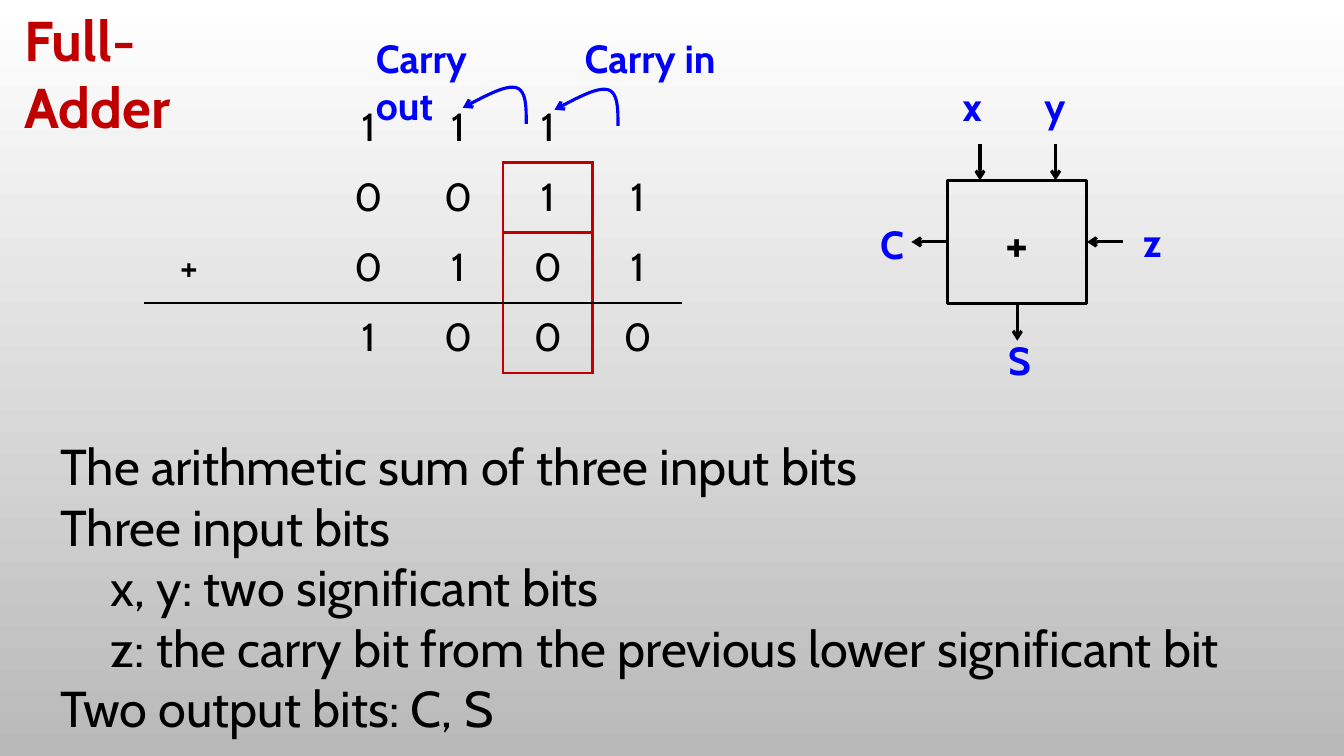
from lxml import etree
from pptx import Presentation
from pptx import util as u
from pptx.dml import color
from pptx.enum import shapes, text
from pptx.oxml import ns

FONT = "Cabin"
BLACK, RED, BLUE = "000000", "C00000", "0000FF"
LINE_WIDTH = u.Pt(2.25)
NO_GRID_STYLE = "{2D5ABB26-0587-4C30-8999-92F81FD0307C}"
BIT_ROWS = ["  111 ", "  0011", "+ 0101", "  1000"]
SUM_ROW, BOXED_COLUMN = 3, 4
POINTS = [
    ("The arithmetic sum of three input bits", 1),
    ("Three input bits", 1),
    ("x, y: two significant bits", 2),
    ("z: the carry bit from the previous lower significant bit", 2),
    ("Two output bits: C, S", 1),
]
PORT_LABELS = [("z", 11.24, 2.12), ("x", 9.45, 0.77), ("y", 10.26, 0.77),
               ("S", 9.9, 3.29), ("C", 8.63, 2.14)]


def rgb(value):
    """Turn a hex string into a colour."""
    return color.RGBColor.from_string(value)


def style(para, size, hue=BLACK, bold=False):
    """Set the font of a paragraph."""
    para.font.name, para.font.size, para.font.bold = FONT, u.Pt(size), bold
    para.font.color.rgb = rgb(hue)


def paint_line(line, hue):
    """Give an outline its colour and the common width."""
    line.color.rgb = rgb(hue)
    line.width = LINE_WIDTH


def add_arrowhead(shape):
    """Put an arrowhead at the end of a line."""
    outline = shape.line._get_or_add_ln()
    etree.SubElement(outline, ns.qn("a:tailEnd"), type="arrow")


def paint_background(page):
    """Fade the background from white at the top to grey."""
    fill = page.background.fill
    fill.gradient()
    fill.gradient_angle = 270
    for stop, position, hue in zip(fill.gradient_stops, (0, 1), ("FFFFFF", "B9B9B9")):
        stop.position = position
        stop.color.rgb = rgb(hue)


def place_title(page):
    """Move and format the title placeholder."""
    title = page.shapes.title
    title.left, title.top = u.Inches(0.14), u.Inches(0)
    title.width, title.height = u.Inches(2.66), u.Inches(0.77)
    frame = title.text_frame
    frame.text = "Full-Adder"
    frame.word_wrap = True
    frame.auto_size = text.MSO_AUTO_SIZE.NONE
    frame.vertical_anchor = text.MSO_ANCHOR.TOP
    frame.paragraphs[0].alignment = text.PP_ALIGN.LEFT
    style(frame.paragraphs[0], 40, RED, True)


def add_label(parent, words, left, top, width):
    """Add a bold blue label."""
    box = parent.add_textbox(*map(u.Inches, (left, top, width, 0.57)))
    box.text_frame.word_wrap = True
    para = box.text_frame.paragraphs[0]
    para.text = words
    style(para, 28, BLUE, True)


def add_points(page):
    """Add the indented explanation."""
    box = page.shapes.add_textbox(*map(u.Inches, (0, 4.27, 13.33, 3.13)))
    frame = box.text_frame
    frame.word_wrap = True
    for index, (words, level) in enumerate(POINTS):
        para = frame.add_paragraph() if index else frame.paragraphs[0]
        para.text = words
        para.level = level
        style(para, 36)
        properties = para._p.get_or_add_pPr()
        properties.set("marL", str(u.Inches(0.5 * level)))
        properties.set("indent", "0")


def cell_edges(row, column):
    """Return the coloured sides of a cell in the sum."""
    edges = {}
    in_box = 1 <= row <= SUM_ROW
    if in_box and column in (BOXED_COLUMN, BOXED_COLUMN + 1):
        edges["L"] = RED
    if in_box and column in (BOXED_COLUMN - 1, BOXED_COLUMN):
        edges["R"] = RED
    if column == BOXED_COLUMN:
        edges.update({0: {"B": RED}, 1: {"T": RED}, SUM_ROW: {"B": RED}}.get(row, {}))
    if row == SUM_ROW:
        edges["T"] = BLACK
    if row == SUM_ROW - 1:
        edges["B"] = BLACK
    return edges


def draw_edges(cell, edges):
    """Write the cell borders ahead of its fill."""
    properties = cell._tc.get_or_add_tcPr()
    sides = [side for side in "LRTB" if side in edges]
    for index, side in enumerate(sides):
        border = etree.Element(ns.qn("a:ln" + side), w=str(LINE_WIDTH))
        fill = etree.SubElement(border, ns.qn("a:solidFill"))
        etree.SubElement(fill, ns.qn("a:srgbClr"), val=edges[side])
        properties.insert(index, border)


def add_sum(page):
    """Add the binary addition as a table."""
    frame = page.shapes.add_table(4, 6, *map(u.Inches, (1.43, 0.92, 5.34, 2.78)))
    table = frame.table
    table.first_row = table.horz_banding = False
    table._tbl.tblPr.find(ns.qn("a:tableStyleId")).text = NO_GRID_STYLE
    for row, bits in enumerate(BIT_ROWS):
        for column, bit in enumerate(bits):
            cell = table.cell(row, column)
            cell.fill.background()
            cell.vertical_anchor = text.MSO_ANCHOR.MIDDLE
            para = cell.text_frame.paragraphs[0]
            para.text = bit.strip()
            para.alignment = text.PP_ALIGN.CENTER
            style(para, 28)
            draw_edges(cell, cell_edges(row, column))


def curve_points(start, first, second, end, steps=12):
    """Sample a cubic curve after its start."""
    for step in range(1, steps + 1):
        t = step / steps
        weights = ((1 - t) ** 3, 3 * t * (1 - t) ** 2, 3 * t * t * (1 - t), t ** 3)
        yield tuple(u.Inches(sum(w * p[axis] for w, p in
                                 zip(weights, (start, first, second, end))))
                    for axis in (0, 1))


def add_carry_arrow(page, left, top):
    """Add a curved arrow to the next column on the left."""
    start, crest, end = [(left + x, top + y)
                         for x, y in ((0.63, 0.36), (0.53, 0), (0, 0.2))]
    rise = (left + 0.63, top + 0.19), (left + 0.63, top + 0.03)
    fall = (left + 0.42, top - 0.03), (left + 0.21, top + 0.09)
    builder = page.shapes.build_freeform(*map(u.Inches, start))
    builder.add_line_segments(
        [*curve_points(start, *rise, crest), *curve_points(crest, *fall, end)], close=False)
    arrow = builder.convert_to_shape()
    arrow.shadow.inherit = False
    arrow.fill.background()
    paint_line(arrow.line, BLUE)
    add_arrowhead(arrow)


def add_arrow(parent, start, end):
    """Add a straight black arrow."""
    arrow = parent.add_connector(shapes.MSO_CONNECTOR.STRAIGHT,
                                 *map(u.Inches, (*start, *end)))
    paint_line(arrow.line, BLACK)
    add_arrowhead(arrow)
    etree.SubElement(arrow._element.spPr, ns.qn("a:effectLst"))
    return arrow


def add_adder(page):
    """Add the adder block with its ports."""
    parent = page.shapes.add_group_shape().shapes
    block = parent.add_shape(shapes.MSO_SHAPE.RECTANGLE,
                             *map(u.Inches, (9.4, 1.79, 1.38, 1.22)))
    block.shadow.inherit = False
    block.fill.background()
    paint_line(block.line, BLACK)
    block.text_frame.vertical_anchor = text.MSO_ANCHOR.MIDDLE
    para = block.text_frame.paragraphs[0]
    para.text = "+"
    para.alignment = text.PP_ALIGN.CENTER
    style(para, 36, BLACK, True)
    for x in (9.72, 10.47):
        add_arrow(parent, (x, 1.43), (x, 1.79))
    add_arrow(parent, (9.4, 2.4), (9.04, 2.4)).begin_connect(block, 1)
    add_arrow(parent, (11.14, 2.4), (10.78, 2.4)).end_connect(block, 3)
    add_arrow(parent, (10.09, 3.01), (10.09, 3.38)).begin_connect(block, 2)
    for words, left, top in PORT_LABELS:
        add_label(parent, words, left, top, 0.42)


def main():
    """Build the slide and save it."""
    deck = Presentation()
    deck.slide_width, deck.slide_height = u.Inches(13.33), u.Inches(7.5)
    page = deck.slides.add_slide(deck.slide_layouts[5])
    paint_background(page)
    place_title(page)
    add_points(page)
    add_sum(page)
    add_carry_arrow(page, 5.5, 0.89)
    add_carry_arrow(page, 4.59, 0.87)
    add_label(page.shapes, "Carry in", 5.7, 0.29, 1.55)
    add_label(page.shapes, "Carry out", 3.63, 0.29, 1.65)
    add_adder(page)
    deck.save("out.pptx")


if __name__ == "__main__":
    main()
